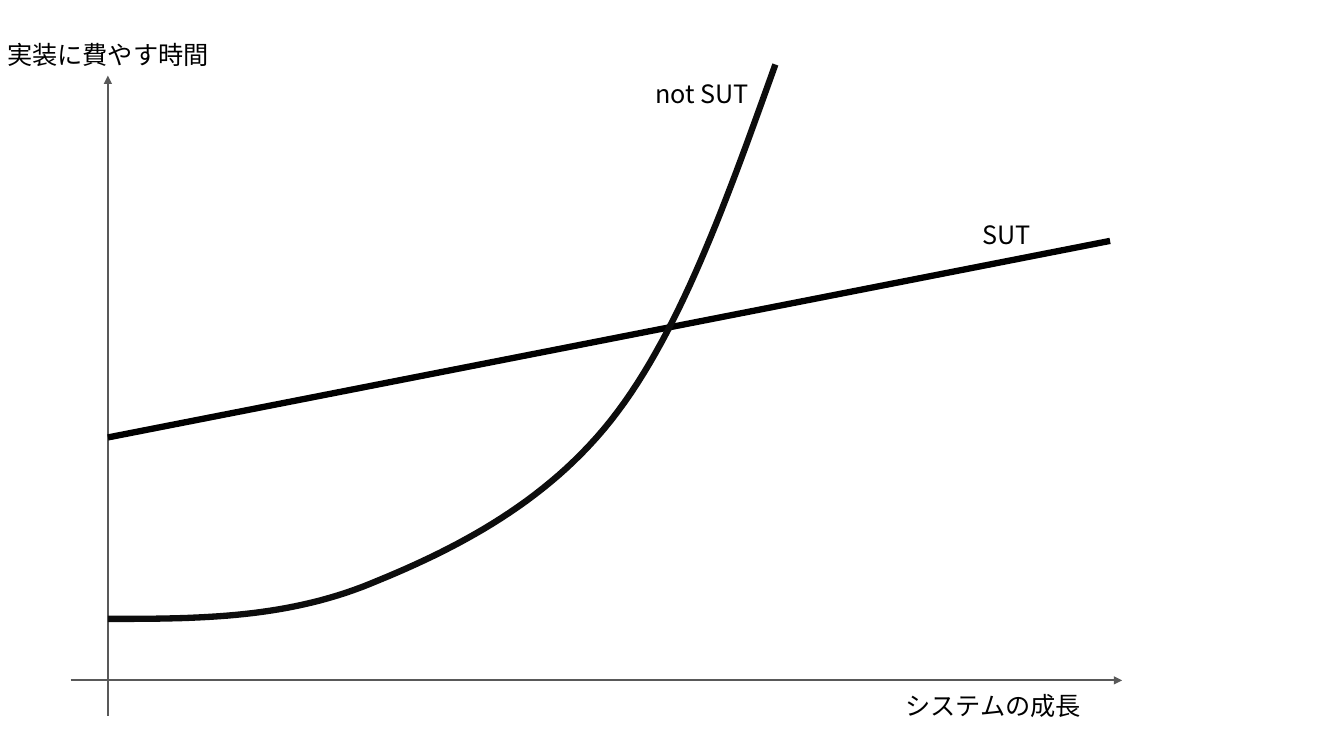
import pptx
import pptx.util
import pptx.dml.color
import pptx.enum.shapes
import pptx.enum.text
import pptx.oxml.ns
import lxml.etree

SCALE = 9144
SIZE = (1333, 750)
FONT = "Noto Sans CJK JP"
COLORS = {"axis": "595959", "line": "000000", "curve": "0D0D0D", "text": "000000"}

AXES = [((107, 710), (107, 75)), ((70, 675), (1113, 675))]
TREND = ((107, 434), (1101, 239))
START = (107, 614)
BENDS = [
    ((192, 614), (277, 614), (360, 582)),
    ((443, 549), (538, 503), (606, 417)),
    ((674, 331), (721, 198), (769, 64)),
]
STEPS = 30
LABELS = [
    ("実装に費やす時間", -38, 34, 290),
    ("システムの成長", 840, 680, 290),
    ("SUT", 884, 213, 229),
    ("not SUT", 582, 73, 229),
]
HEIGHT = 40


def px(n):
    return pptx.util.Emu(round(n * SCALE))


def color(key):
    return pptx.dml.color.RGBColor.from_string(COLORS[key])


def add_tag(node, tag, **attrs):
    return lxml.etree.SubElement(node, pptx.oxml.ns.qn(tag), **attrs)


def style(shape, key, width):
    shape.line.color.rgb = color(key)
    shape.line.width = pptx.util.Pt(width)


def add_line(slide, ends, key, width, arrow=False):
    (x1, y1), (x2, y2) = ends
    kind = pptx.enum.shapes.MSO_CONNECTOR.STRAIGHT
    line = slide.shapes.add_connector(kind, px(x1), px(y1), px(x2), px(y2))
    style(line, key, width)
    if arrow:
        add_tag(line.line._get_or_add_ln(), "a:tailEnd", type="triangle")
    add_tag(line._element.spPr, "a:effectLst")


def bend(a, b, c, d):
    for i in range(1, STEPS + 1):
        t = i / STEPS
        u = 1 - t
        yield tuple(
            round((u**3 * p + 3 * u**2 * t * q + 3 * u * t**2 * r + t**3 * s) * SCALE)
            for p, q, r, s in zip(a, b, c, d)
        )


def add_curve(slide):
    points = []
    last = START
    for b, c, d in BENDS:
        points.extend(bend(last, b, c, d))
        last = d
    form = slide.shapes.build_freeform(px(START[0]), px(START[1]))
    form.add_line_segments(points, close=False)
    curve = form.convert_to_shape()
    curve.shadow.inherit = False
    curve.fill.background()
    style(curve, "curve", 4.5)


def add_label(slide, text, x, y, width):
    box = slide.shapes.add_textbox(px(x), px(y), px(width), px(HEIGHT))
    frame = box.text_frame
    frame.word_wrap = True
    frame.auto_size = pptx.enum.text.MSO_AUTO_SIZE.SHAPE_TO_FIT_TEXT
    para = frame.paragraphs[0]
    para.alignment = pptx.enum.text.PP_ALIGN.CENTER
    run = para.add_run()
    run.text = text
    run.font.size = pptx.util.Pt(18)
    run.font.color.rgb = color("text")
    run.font.name = FONT
    add_tag(run.font._element, "a:ea", typeface=FONT)


def main():
    deck = pptx.Presentation()
    deck.slide_width, deck.slide_height = map(px, SIZE)
    slide = deck.slides.add_slide(deck.slide_layouts[6])
    for ends in AXES:
        add_line(slide, ends, "axis", 1.5, arrow=True)
    add_line(slide, TREND, "line", 4.5)
    add_curve(slide)
    for label in LABELS:
        add_label(slide, *label)
    deck.save("out.pptx")


if __name__ == "__main__":
    main()
